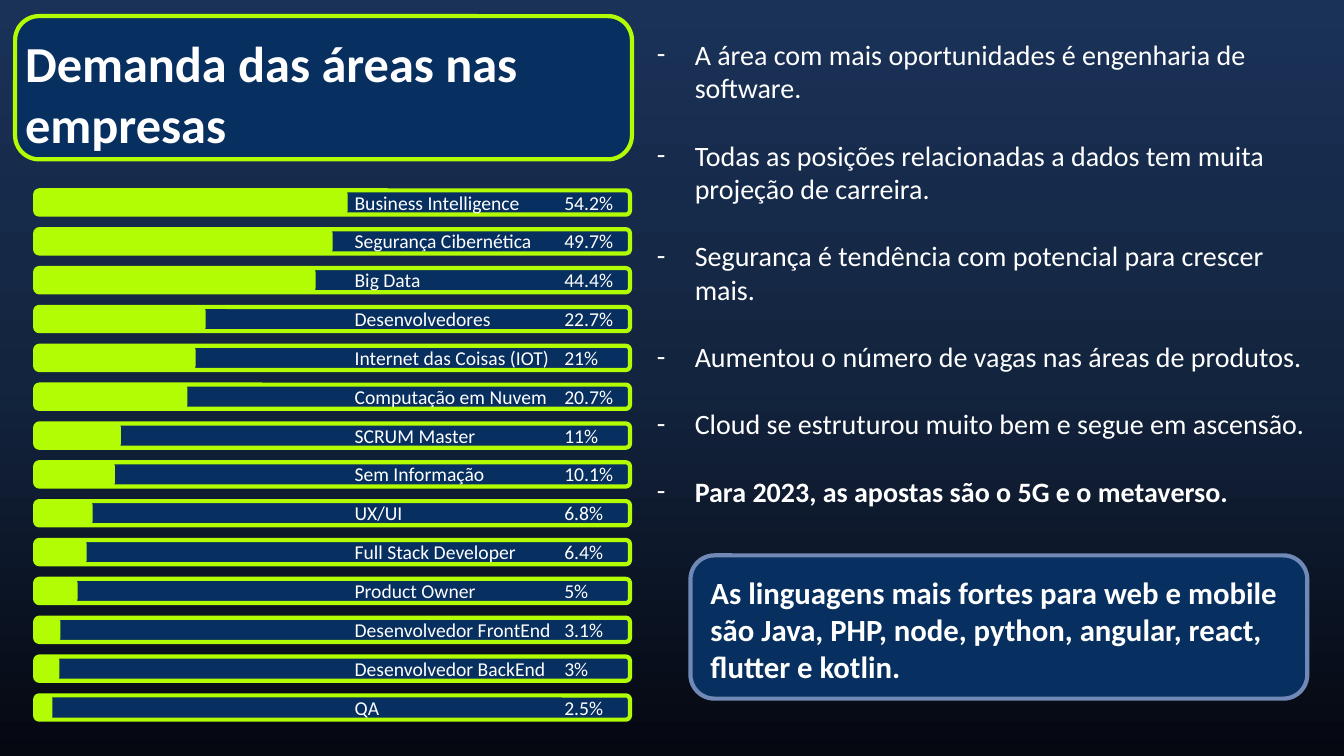
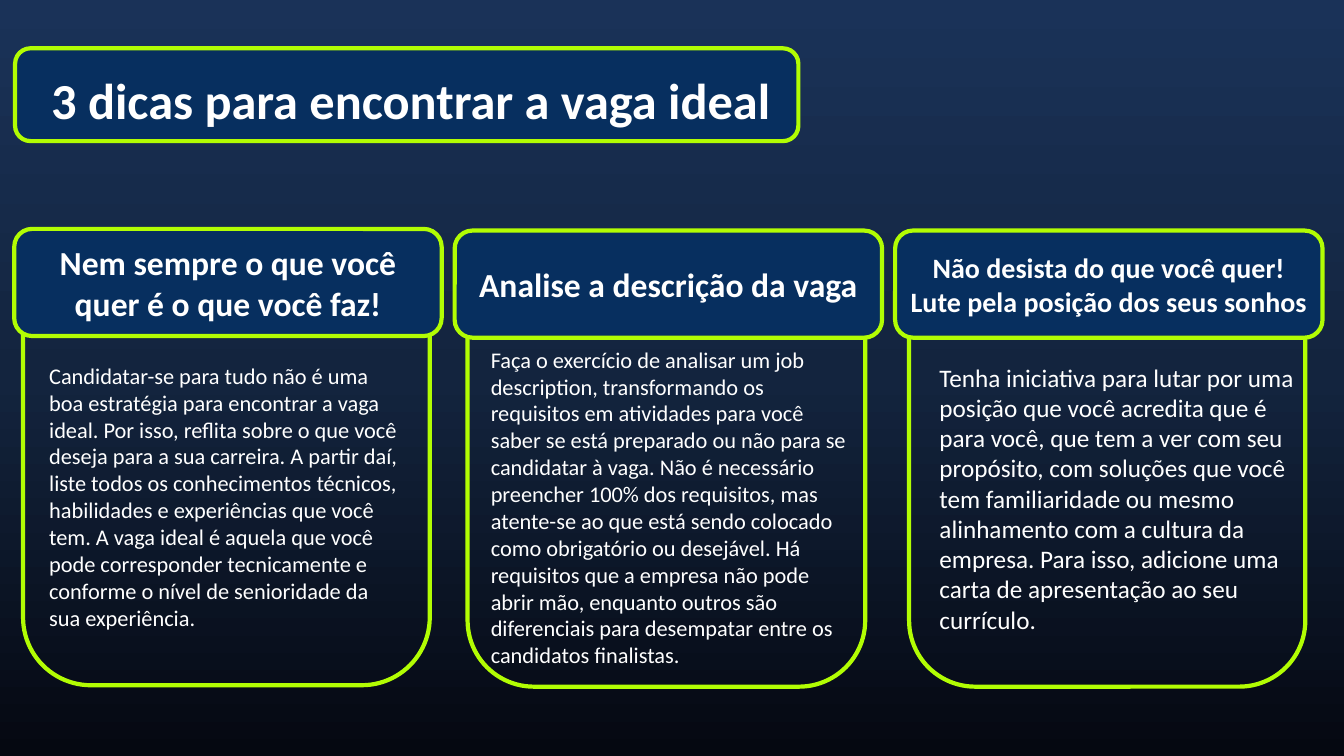
"""Build two slides on job demand by area and tips for finding the ideal job."""
from copy import deepcopy
from dataclasses import dataclass
from typing import Optional

from lxml import etree
from pptx import Presentation
from pptx.dml.color import RGBColor
from pptx.enum import shapes, text
from pptx.oxml.ns import qn
from pptx.util import Pt

COLORS = {
    "navy": "072F5F",
    "lime": "B2FD03",
    "steel": "7089B6",
    "white": "FFFFFF",
    "bottom": "050811",
    "middle": "13243E",
    "top": "1A3258",
}
FONT = "Calibri"
WIDTH, HEIGHT = 960, 540


@dataclass
class Box:
    x: float
    y: float
    w: float
    h: float


@dataclass
class Demand:
    area: str
    share: str
    length: float


@dataclass
class Tip:
    heading: str
    heading_size: int
    heading_box: Box
    frame: Box
    body: str
    body_size: int
    body_box: Box


DEMANDS = [
    Demand("Business Intelligence", "54.2%", 223.2),
    Demand("Segurança Cibernética", "49.7%", 212.4),
    Demand("Big Data", "44.4%", 200.2),
    Demand("Desenvolvedores", "22.7%", 121.7),
    Demand("Internet das Coisas (IOT)", "21%", 114.5),
    Demand("Computação em Nuvem", "20.7%", 108.7),
    Demand("SCRUM Master", "11%", 61.2),
    Demand("Sem Informação", "10.1%", 56.9),
    Demand("UX/UI", "6.8%", 41),
    Demand("Full Stack Developer", "6.4%", 36.7),
    Demand("Product Owner", "5%", 30.2),
    Demand("Desenvolvedor FrontEnd", "3.1%", 18),
    Demand("Desenvolvedor BackEnd", "3%", 17.3),
    Demand("QA", "2.5%", 12.2),
]
BAR_TOP, BAR_PITCH = 136, 27.75

FINDINGS = [
    "A área com mais oportunidades é engenharia de software.",
    "Todas as posições relacionadas a dados tem muita projeção de carreira.",
    "Segurança é tendência com potencial para crescer mais.",
    "Aumentou o número de vagas nas áreas de produtos.",
    "Cloud se estruturou muito bem e segue em ascensão.",
    "Para 2023, as apostas são o 5G e o metaverso.",
]
LANGUAGES = (
    "As linguagens mais fortes para web e mobile são Java, PHP, node, python, "
    "angular, react, flutter e kotlin."
)

TIPS = [
    Tip(
        "Nem sempre o que você quer é o que você faz!", 24,
        Box(10.2, 163.5, 305.3, 76.5), Box(16.5, 185, 290.5, 304.5),
        "Candidatar-se para tudo não é uma boa estratégia para encontrar a vaga "
        "ideal. Por isso, reflita sobre o que você deseja para a sua carreira. "
        "A partir daí, liste todos os conhecimentos técnicos, habilidades e "
        "experiências que você tem. A vaga ideal é aquela que você pode "
        "corresponder tecnicamente e conforme o nível de senioridade da sua "
        "experiência.", 16, Box(28, 255, 265.7, 201),
    ),
    Tip(
        "Analise a descrição da vaga", 24,
        Box(324.8, 164.7, 305.3, 76.5), Box(334, 186, 284, 304.5),
        "Faça o exercício de analisar um job description, transformando os "
        "requisitos em atividades para você saber se está preparado ou não para "
        "se candidatar à vaga. Não é necessário preencher 100% dos requisitos, "
        "mas atente-se ao que está sendo colocado como obrigatório ou desejável. "
        "Há requisitos que a empresa não pode abrir mão, enquanto outros são "
        "diferenciais para desempatar entre os candidatos finalistas.",
        16, Box(343.5, 243.5, 268, 240),
    ),
    Tip(
        "Não desista do que você quer! Lute pela posição dos seus sonhos", 20,
        Box(639.4, 164.7, 305.3, 76.5), Box(649.4, 186, 283, 304.5),
        "Tenha iniciativa para lutar por uma posição que você acredita que é "
        "para você, que tem a ver com seu propósito, com soluções que você tem "
        "familiaridade ou mesmo alinhamento com a cultura da empresa. Para isso, "
        "adicione uma carta de apresentação ao seu currículo.",
        18, Box(664, 255, 268, 204),
    ),
]


def rgb(name: str) -> RGBColor:
    """Return the named colour."""
    return RGBColor.from_string(COLORS[name])


def format_text(p, size: int, bold: bool = False) -> None:
    """Format every run of a paragraph."""
    for r in p.runs:
        r.font.name = FONT
        r.font.size = Pt(size)
        r.font.bold = bold
        r.font.color.rgb = rgb("white")


def add_panel(s, box: Box, fill: Optional[str] = "navy",
              line: Optional[str] = "lime",
              kind=shapes.MSO_SHAPE.ROUNDED_RECTANGLE):
    """Add a shape with optional fill and outline."""
    sp = s.shapes.add_shape(kind, Pt(box.x), Pt(box.y), Pt(box.w), Pt(box.h))
    sp.shadow.inherit = False
    if fill:
        sp.fill.solid()
        sp.fill.fore_color.rgb = rgb(fill)
    else:
        sp.fill.background()
    if line:
        sp.line.color.rgb = rgb(line)
        sp.line.width = Pt(3)
    else:
        sp.line.fill.background()
    return sp


def add_text(s, box: Box, content: str, size: int, bold: bool = False):
    """Add a wrapping text box and return its text frame."""
    sp = s.shapes.add_textbox(Pt(box.x), Pt(box.y), Pt(box.w), Pt(box.h))
    tf = sp.text_frame
    tf.word_wrap = True
    tf.auto_size = text.MSO_AUTO_SIZE.SHAPE_TO_FIT_TEXT
    tf.text = content
    for p in tf.paragraphs:
        format_text(p, size, bold)
    return tf


def add_base(prs, title: str, panel: Box, title_box: Box):
    """Add a slide with the gradient backdrop and a framed title."""
    s = prs.slides.add_slide(prs.slide_layouts[6])
    sp = add_panel(s, Box(0, 0, WIDTH, HEIGHT), None, None,
                   shapes.MSO_SHAPE.RECTANGLE)
    sp.fill.gradient()
    sp.fill.gradient_angle = 90
    stops = sp._element.spPr.find(qn("a:gradFill")).find(qn("a:gsLst"))
    stops.append(deepcopy(stops[-1]))
    for i, (stop, name) in enumerate(
            zip(sp.fill.gradient_stops, ("bottom", "middle", "top"))):
        stop.color.rgb = rgb(name)
        stop.position = i / 2
    add_panel(s, panel)
    add_text(s, title_box, title, 36, True)
    return s


def add_demand(s, demand: Demand, y: float) -> None:
    """Add one bar of the demand ranking."""
    add_panel(s, Box(25.2, y, 424.8, 17.3))
    add_panel(s, Box(25.2, y, demand.length, 17.3), "lime", None)
    add_text(s, Box(396, y - 3.5, 98.6, 24.5), demand.share, 14)
    add_text(s, Box(246.2, y - 3.5, 171.4, 24.5), demand.area, 14)


def add_findings(s, box: Box) -> None:
    """Add the dashed list of findings."""
    tf = add_text(s, box, "\n".join(FINDINGS), 20)
    for i, p in enumerate(tf.paragraphs):
        pPr = p._p.get_or_add_pPr()
        pPr.set("marL", str(Pt(27)))
        pPr.set("indent", str(-Pt(27)))
        etree.SubElement(pPr, qn("a:buFont")).set("typeface", FONT)
        etree.SubElement(pPr, qn("a:buChar")).set("char", "-")
        if i:
            p.space_before = Pt(24)
    format_text(tf.paragraphs[-1], 20, True)


def add_tip(s, tip: Tip) -> None:
    """Add one tip card with its heading and body."""
    add_panel(s, tip.frame, None)
    sp = add_panel(s, tip.heading_box)
    tf = sp.text_frame
    tf.word_wrap = True
    tf.vertical_anchor = text.MSO_ANCHOR.MIDDLE
    tf.text = tip.heading
    p = tf.paragraphs[0]
    p.alignment = text.PP_ALIGN.CENTER
    format_text(p, tip.heading_size, True)
    add_text(s, tip.body_box, tip.body, tip.body_size)


def main() -> None:
    """Build and save the presentation."""
    prs = Presentation()
    prs.slide_width, prs.slide_height = Pt(WIDTH), Pt(HEIGHT)

    s = add_base(prs, "Demanda das áreas nas empresas",
                 Box(10.8, 11.5, 440.6, 102.3), Box(10.8, 19.5, 440.6, 94.3))
    for i, demand in enumerate(DEMANDS):
        add_demand(s, demand, BAR_TOP + i * BAR_PITCH)
    add_findings(s, Box(462.2, 23, 492.5, 346.3))
    add_panel(s, Box(493.2, 396.7, 440.6, 102.3), line="steel")
    add_text(s, Box(500.4, 406, 430.6, 87), LANGUAGES, 22, True)

    s = add_base(prs, "3 dicas para encontrar a vaga ideal",
                 Box(10.8, 34.5, 559.5, 66.3), Box(29.5, 46, 640.8, 51))
    for tip in TIPS:
        add_tip(s, tip)

    prs.save("out.pptx")


if __name__ == "__main__":
    main()
